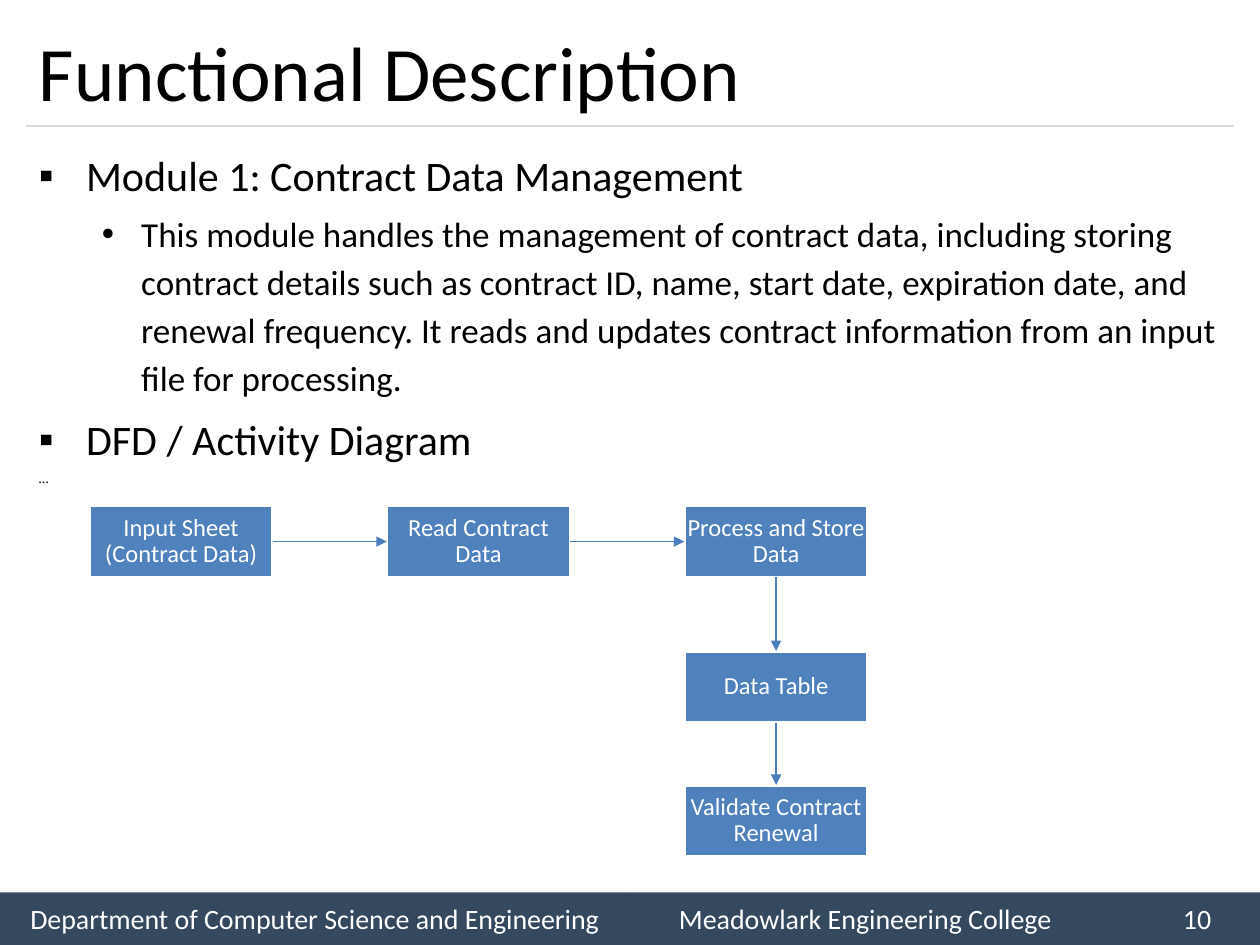
"""Build the functional description slide with its contract data flow."""
from dataclasses import dataclass
from itertools import pairwise
from typing import Any

from lxml.etree import SubElement
from pptx import Presentation
from pptx.dml.color import RGBColor
from pptx.enum.shapes import MSO_CONNECTOR, MSO_SHAPE
from pptx.enum.text import MSO_ANCHOR, MSO_AUTO_SIZE, PP_ALIGN
from pptx.oxml.ns import qn
from pptx.util import Pt


@dataclass(frozen=True)
class Theme:
    font: str = "Calibri"
    text: str = "000000"
    light: str = "FFFFFF"
    footer: str = "34495E"
    node: str = "4F81BD"
    arrow: str = "4B7EBC"
    rule: str = "D9D9D9"
    title_size: float = 44
    module_size: float = 24
    detail_size: float = 20
    ellipsis_size: float = 8
    footer_size: float = 16
    node_size: float = 14


@dataclass(frozen=True)
class Area:
    left: float
    top: float
    width: float
    height: float

    def lengths(self) -> tuple[Pt, Pt, Pt, Pt]:
        return Pt(self.left), Pt(self.top), Pt(self.width), Pt(self.height)


@dataclass(frozen=True)
class Entry:
    text: str
    size: float
    level: int = 0
    bullet: str = ""
    margin: float = 0
    hanging: float = 0


@dataclass(frozen=True)
class Step:
    text: str
    left: float
    top: float


THEME = Theme()
SLIDE_WIDTH, SLIDE_HEIGHT = 720, 540
TITLE_AREA = Area(15, 8.64, 690, 63.36)
BODY_AREA = Area(15, 77.76, 690, 420)
FOOTER_TOP = 510
STEP_WIDTH, STEP_HEIGHT = 105, 41
COLUMNS = [51 + 170 * index for index in range(3)]
ROWS = [289, 372, 448.5]
TOP_SITE, LEFT_SITE, BOTTOM_SITE, RIGHT_SITE = range(4)

ENTRIES = [
    Entry("Module 1: Contract Data Management", THEME.module_size, 0, "▪", 27, 27),
    Entry(
        "This module handles the management of contract data, including storing "
        "contract details such as contract ID, name, start date, expiration date, "
        "and renewal frequency. It reads and updates contract information from an "
        "input file for processing.",
        THEME.detail_size, 1, "•", 58.5, 22.5,
    ),
    Entry("DFD / Activity Diagram", THEME.module_size, 0, "▪", 27, 27),
    Entry("…", THEME.ellipsis_size),
]
STEPS = [
    Step("Input Sheet (Contract Data)", COLUMNS[0], ROWS[0]),
    Step("Read Contract Data", COLUMNS[1], ROWS[0]),
    Step("Process and Store Data", COLUMNS[2], ROWS[0]),
    Step("Data Table", COLUMNS[2], ROWS[1]),
    Step("Validate Contract Renewal", COLUMNS[2], ROWS[2]),
]


def apply(target: Any, formats: dict[str, Any]) -> None:
    for name, value in formats.items():
        setattr(target, name, value)


def place(shape: Any, area: Area) -> None:
    apply(shape, dict(zip(("left", "top", "width", "height"), area.lengths())))


def write(para: Any, text: str, size: float, color: str) -> None:
    span = para.add_run()
    apply(span, {"text": text})
    apply(span.font, {"name": THEME.font, "size": Pt(size)})
    span.font.color.rgb = RGBColor.from_string(color)


def set_bullet(para: Any, entry: Entry) -> None:
    properties = para._p.get_or_add_pPr()
    properties.set("marL", str(Pt(entry.margin)))
    properties.set("indent", str(Pt(-entry.hanging)))
    if entry.bullet:
        SubElement(properties, qn("a:buFont"), typeface="Arial")
        SubElement(properties, qn("a:buChar"), char=entry.bullet)
    else:
        SubElement(properties, qn("a:buNone"))


def add_title(page: Any, text: str) -> None:
    title = page.shapes.title
    place(title, TITLE_AREA)
    apply(title.text_frame, {
        "vertical_anchor": MSO_ANCHOR.MIDDLE, "auto_size": MSO_AUTO_SIZE.NONE,
    })
    para = title.text_frame.paragraphs[0]
    apply(para, {"alignment": PP_ALIGN.LEFT})
    write(para, text, THEME.title_size, THEME.text)


def add_body(page: Any, entries: list[Entry]) -> None:
    body = page.placeholders[1]
    place(body, BODY_AREA)
    frame = body.text_frame
    apply(frame, {"auto_size": MSO_AUTO_SIZE.NONE, "word_wrap": True})
    for index, entry in enumerate(entries):
        para = frame.add_paragraph() if index else frame.paragraphs[0]
        apply(para, {
            "level": entry.level, "line_spacing": 1.14,
            "space_before": Pt(entry.size * 0.2),
        })
        set_bullet(para, entry)
        write(para, entry.text, entry.size, THEME.text)


def add_box(page: Any, area: Area, fill: str, text: str, size: float,
            frame_formats: dict[str, Any], para_formats: dict[str, Any]) -> Any:
    box = page.shapes.add_shape(MSO_SHAPE.RECTANGLE, *area.lengths())
    box.shadow.inherit = False
    box.fill.solid()
    box.fill.fore_color.rgb = RGBColor.from_string(fill)
    box.line.fill.background()
    apply(box.text_frame, {
        "word_wrap": True, "vertical_anchor": MSO_ANCHOR.MIDDLE, **frame_formats,
    })
    para = box.text_frame.paragraphs[0]
    apply(para, {"alignment": PP_ALIGN.CENTER, **para_formats})
    write(para, text, size, THEME.light)
    return box


def add_footer(page: Any) -> None:
    half, height = SLIDE_WIDTH / 2, SLIDE_HEIGHT - FOOTER_TOP
    add_box(page, Area(0, FOOTER_TOP, half, height), THEME.footer,
            "Department of Computer Science and Engineering", THEME.footer_size, {}, {})
    college = add_box(page, Area(half, FOOTER_TOP, half, height), THEME.footer,
                      "Meadowlark Engineering College\t10", THEME.footer_size,
                      {"margin_left": Pt(28)}, {"alignment": PP_ALIGN.LEFT})
    properties = college.text_frame.paragraphs[0]._p.get_or_add_pPr()
    stops = SubElement(properties, qn("a:tabLst"))
    SubElement(stops, qn("a:tab"), pos=str(Pt(288)), algn="l")


def add_step(page: Any, step: Step) -> Any:
    sides = ("left", "top", "right", "bottom")
    box = add_box(page, Area(step.left, step.top, STEP_WIDTH, STEP_HEIGHT), THEME.node,
                  step.text, THEME.node_size,
                  {f"margin_{side}": Pt(1) for side in sides}, {"line_spacing": 0.9})
    box.line.color.rgb = RGBColor.from_string(THEME.light)
    box.line.width = Pt(2)
    return box


def add_line(page: Any, color: str, start: tuple[float, float] = (0, 0),
             end: tuple[float, float] = (0, 0)) -> Any:
    line = page.shapes.add_connector(
        MSO_CONNECTOR.STRAIGHT, *(Pt(value) for value in (*start, *end)))
    line.line.color.rgb = RGBColor.from_string(color)
    line.line.width = Pt(0.75)
    SubElement(line.element.spPr, qn("a:effectLst"))
    return line


def add_arrow(page: Any, source: Any, target: Any) -> None:
    across = source.top == target.top
    arrow = add_line(page, THEME.arrow)
    arrow.begin_connect(source, RIGHT_SITE if across else BOTTOM_SITE)
    arrow.end_connect(target, LEFT_SITE if across else TOP_SITE)
    SubElement(arrow.element.spPr.find(qn("a:ln")), qn("a:tailEnd"), type="triangle")


def main() -> None:
    deck = Presentation()
    apply(deck, {"slide_width": Pt(SLIDE_WIDTH), "slide_height": Pt(SLIDE_HEIGHT)})
    page = deck.slides.add_slide(deck.slide_layouts[1])
    add_footer(page)
    add_line(page, THEME.rule, (15, 72), (705, 72))
    add_title(page, "Functional Description")
    add_body(page, ENTRIES)
    boxes = [add_step(page, step) for step in STEPS]
    for source, target in pairwise(boxes):
        add_arrow(page, source, target)
    deck.save("out.pptx")


if __name__ == "__main__":
    main()
